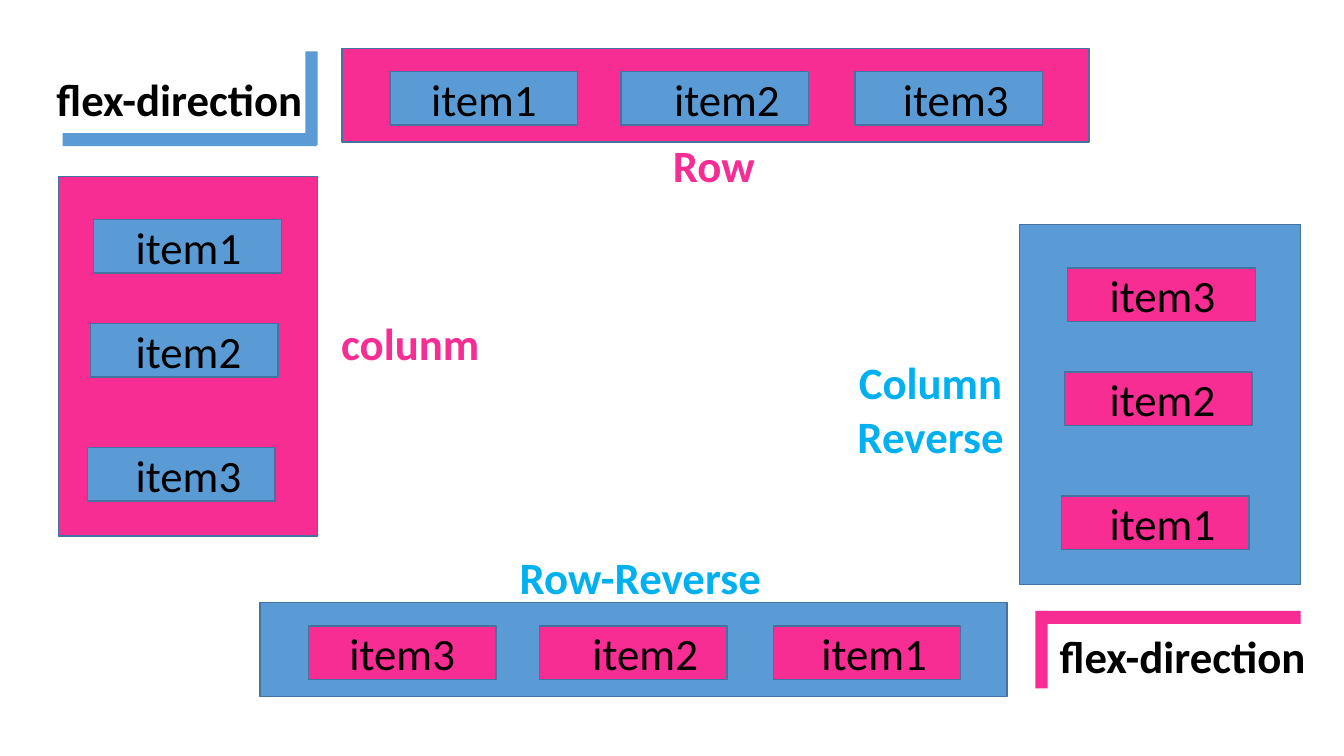
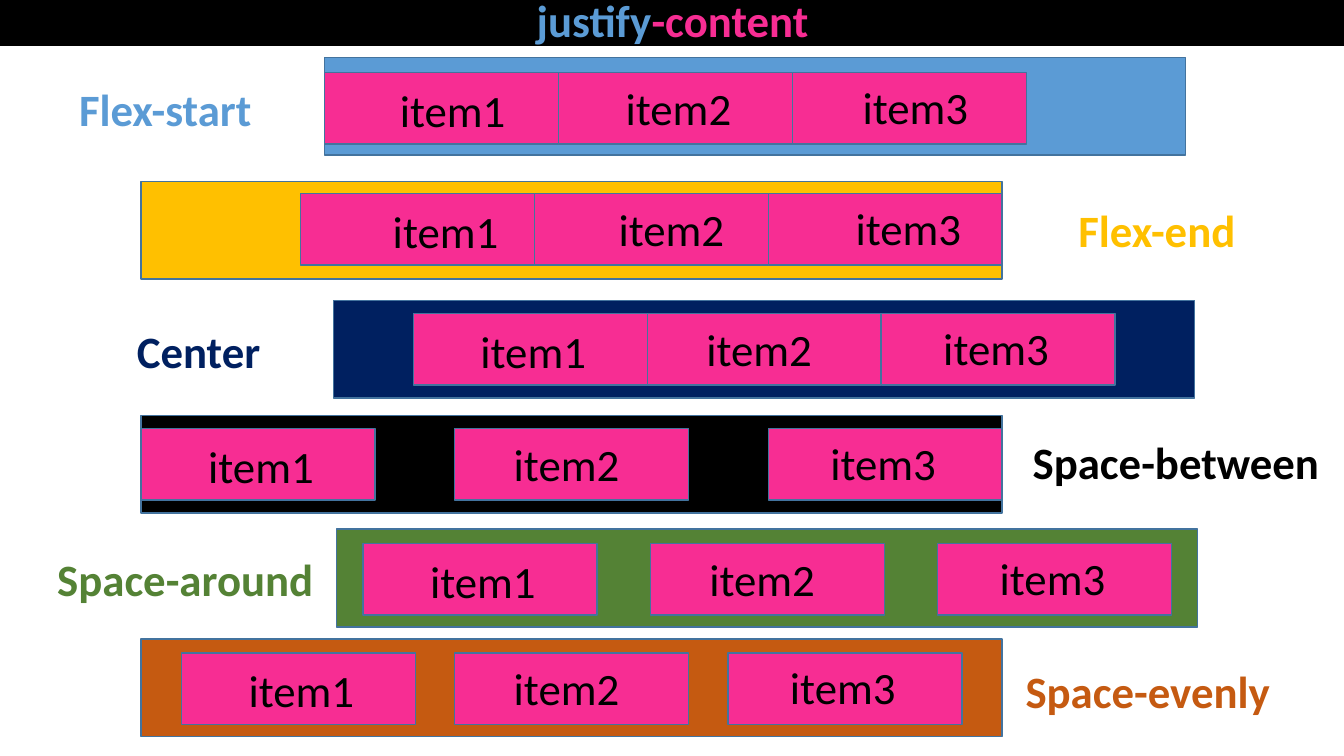
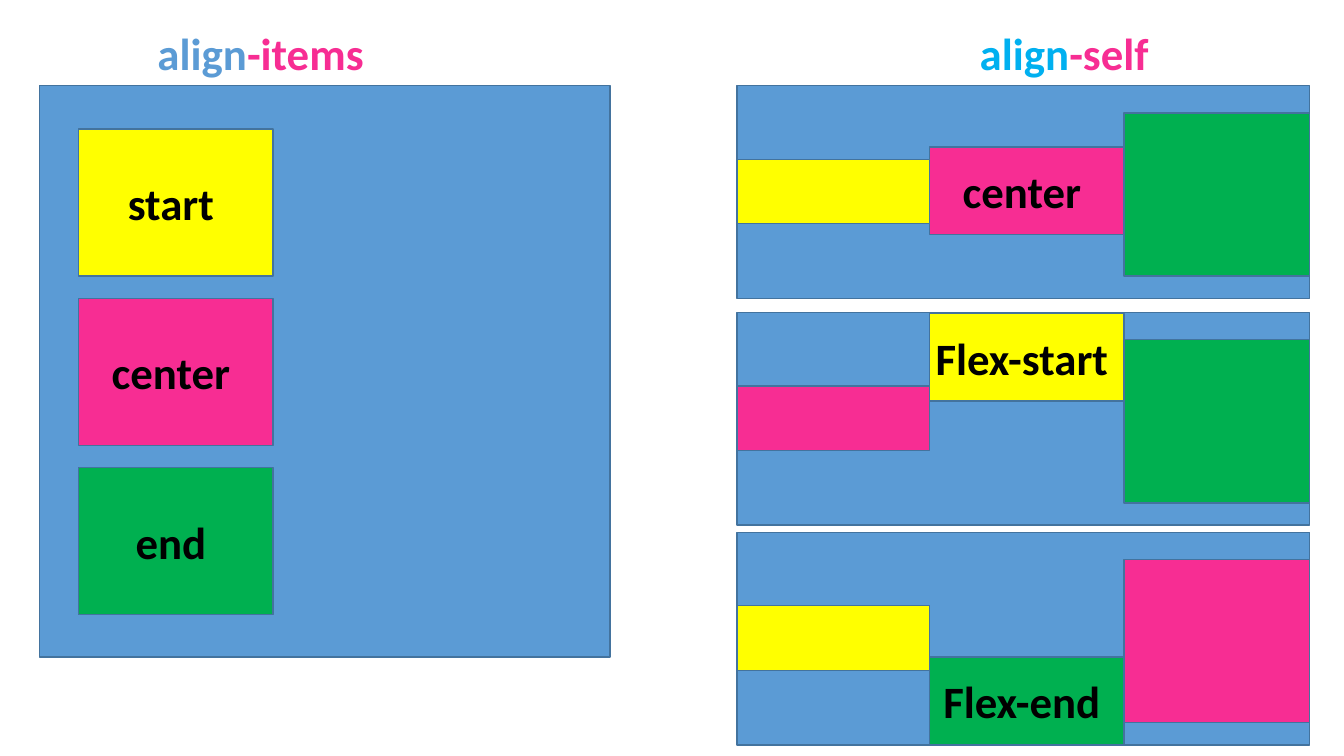
import pptx
import pptx.dml.color
import pptx.enum.shapes
import pptx.enum.text
import pptx.util

PX = 9144
FONT = "Calibri"
TEXT_SIZE = pptx.util.Pt(32)
TEXT_HEIGHT = 64
ITEM_LABEL_WIDTH = 126

RGB = pptx.dml.color.RGBColor
BLACK = RGB(0x00, 0x00, 0x00)
PINK = RGB(0xF7, 0x2D, 0x93)
BLUE = RGB(0x5B, 0x9B, 0xD5)
EDGE = RGB(0x43, 0x73, 0x9E)
SKY = RGB(0x00, 0xB0, 0xF0)
GOLD = RGB(0xFF, 0xC0, 0x00)
NAVY = RGB(0x00, 0x20, 0x60)
OLIVE = RGB(0x54, 0x82, 0x35)
RUST = RGB(0xC5, 0x5A, 0x11)
YELLOW = RGB(0xFF, 0xFF, 0x00)
GREEN = RGB(0x00, 0xB0, 0x50)


def to_emu(box):
    return [pptx.util.Emu(length * PX) for length in box]


def write(frame, text, colour, bold=True, pink_tail=""):
    frame.word_wrap = False
    for index, line in enumerate(text.split("\n")):
        paragraph = frame.add_paragraph() if index else frame.paragraphs[0]
        paragraph.alignment = pptx.enum.text.PP_ALIGN.CENTER
        paragraph.font.name = FONT
        paragraph.font.size = TEXT_SIZE
        paragraph.font.bold = bold
        lead = paragraph.add_run()
        lead.text = line
        if pink_tail:
            lead.font.color.rgb = colour
            tail = paragraph.add_run()
            tail.text = pink_tail
            tail.font.color.rgb = PINK
        else:
            paragraph.font.color.rgb = colour


def add_label(slide, left, top, width, text, colour, bold=True, pink_tail=""):
    height = TEXT_HEIGHT + 54 * text.count("\n")
    label = slide.shapes.add_textbox(*to_emu((left, top, width, height)))
    write(label.text_frame, text, colour, bold, pink_tail)


def add_box(slide, box, fill, edge=EDGE):
    rectangle = slide.shapes.add_shape(
        pptx.enum.shapes.MSO_SHAPE.RECTANGLE, *to_emu(box))
    rectangle.shadow.inherit = False
    rectangle.fill.solid()
    rectangle.fill.fore_color.rgb = fill
    if edge is None:
        rectangle.line.fill.background()
    else:
        rectangle.line.color.rgb = edge
        rectangle.line.width = pptx.util.Pt(1)
    return rectangle


def add_card(slide, box, fill, text):
    frame = add_box(slide, box, fill).text_frame
    frame.vertical_anchor = pptx.enum.text.MSO_ANCHOR.MIDDLE
    frame.margin_left = 0
    frame.margin_right = pptx.util.Emu(10 * PX)
    write(frame, text, BLACK)


def add_item(slide, box, fill, name, label_dx, label_dy):
    add_box(slide, box, fill)
    add_label(slide, box[0] + label_dx, box[1] + label_dy,
              ITEM_LABEL_WIDTH, name, BLACK, bold=False)


def row_panel(slide, left, top, fill, item_fill, names):
    add_box(slide, (left, top, 741, 93), fill)
    for name, dx, label_dx in zip(names, (48, 277, 509), (30, 42, 37)):
        add_item(slide, (left + dx, top + 23, 186, 53), item_fill, name,
                 label_dx, -5)


def column_panel(slide, box, inset, fill, item_fill, names):
    left, top = box[:2]
    add_box(slide, box, fill)
    for name, drift, dy in zip(names, (0, 3, 6), (43, 146, 269)):
        add_item(slide, (left + inset - drift, top + dy, 186, 53), item_fill,
                 name, 31 + drift, -5)


def direction_heading(slide, left, top, colour, bars):
    add_label(slide, left, top, 268, "flex-direction", BLACK)
    for bar in bars:
        add_box(slide, bar, colour, edge=None)


def flex_direction_slide(slide):
    forward = ("item1", "item2", "item3")
    backward = forward[::-1]
    direction_heading(slide, 44, 66, BLUE,
                      ((303, 51, 12, 93), (62, 132, 252, 13)))
    row_panel(slide, 339, 48, PINK, BLUE, forward)
    add_label(slide, 657, 132, 102, "Row", PINK)
    column_panel(slide, (58, 175, 257, 357), 35, PINK, BLUE, forward)
    add_label(slide, 328, 308, 158, "colunm", PINK)
    column_panel(slide, (1011, 223, 279, 357), 48, BLUE, PINK, backward)
    add_label(slide, 837, 347, 172, "Column\nReverse", SKY)
    row_panel(slide, 258, 598, BLUE, PINK, backward)
    add_label(slide, 504, 540, 262, "Row-Reverse", SKY)
    direction_heading(slide, 1039, 619, PINK,
                      ((1027, 606, 12, 77), (1030, 606, 260, 13)))


def justify_bar(slide, left, top, fill, lead, gap, item_dy, nudge):
    width, item_width = 854, 232
    free = width - 3 * item_width
    add_box(slide, (left, top, width, 97), fill)
    for index, (label_dx, label_dy) in enumerate(((56, 5), (48, 3), (51, 2))):
        dx = round(free * lead + index * (item_width + free * gap))
        add_item(slide, (left + dx, top + item_dy, item_width, 71), PINK,
                 f"item{index + 1}", label_dx + nudge, label_dy)


def justify_content_slide(slide):
    add_box(slide, (0, 0, 1333, 45), BLACK, edge=BLACK)
    add_label(slide, 521, -12, 292, "justify", BLUE, pink_tail="-content")
    bars = (
        ("Flex-start", BLUE, (67, 76, 194), (322, 57), 0, 0, 15, 8),
        ("Flex-end", GOLD, (1058, 196, 179), (140, 180), 1, 0, 12, 25),
        ("Center", NAVY, (125, 316, 144), (331, 298), 1 / 2, 0, 13, 0),
        ("Space-between", BLACK, (1013, 426, 307), (140, 412), 0, 1 / 2, 13, 0),
        ("Space-around", OLIVE, (46, 542, 276), (334, 525), 1 / 6, 1 / 3, 14, 0),
        ("Space-evenly", RUST, (1006, 654, 265), (140, 634), 1 / 4, 1 / 4, 14, 0),
    )
    for name, colour, caption, corner, lead, gap, item_dy, nudge in bars:
        justify_bar(slide, *corner, colour, lead, gap, item_dy, nudge)
        add_label(slide, *caption, name, colour)


def align_items_panel(slide, left, top):
    add_box(slide, (left, top, 566, 567), BLUE)
    cards = (("start", YELLOW), ("center", PINK), ("end", GREEN))
    for index, (name, fill) in enumerate(cards):
        add_card(slide, (left + 39, top + 43 + 168 * index, 193, 146),
                 fill, name)


def align_self_panel(slide, left, top, name, card_dy, fills):
    first, middle, last = fills
    add_box(slide, (left, top, 568, 211), BLUE)
    add_card(slide, (left + 191, top + card_dy, 193, 87), middle, name)
    add_box(slide, (left, top + 73, 191, 64), first)
    add_box(slide, (left + 384, top + 27, 184, 162), last)


def align_slide(slide):
    add_label(slide, 145, 21, 227, "align", BLUE, pink_tail="-items")
    add_label(slide, 961, 21, 189, "align", SKY, pink_tail="-self")
    align_items_panel(slide, 39, 85)
    panels = (
        (85, "center", 61, (YELLOW, PINK, GREEN)),
        (310, "Flex-start", 1, (PINK, YELLOW, GREEN)),
        (528, "Flex-end", 124, (YELLOW, GREEN, PINK)),
    )
    for top, name, card_dy, fills in panels:
        align_self_panel(slide, 731, top, name, card_dy, fills)


def main():
    deck = pptx.Presentation()
    deck.slide_width, deck.slide_height = to_emu((1333, 750))
    blank = deck.slide_layouts[6]
    for build in (flex_direction_slide, justify_content_slide, align_slide):
        build(deck.slides.add_slide(blank))
    deck.save("out.pptx")


if __name__ == "__main__":
    main()
